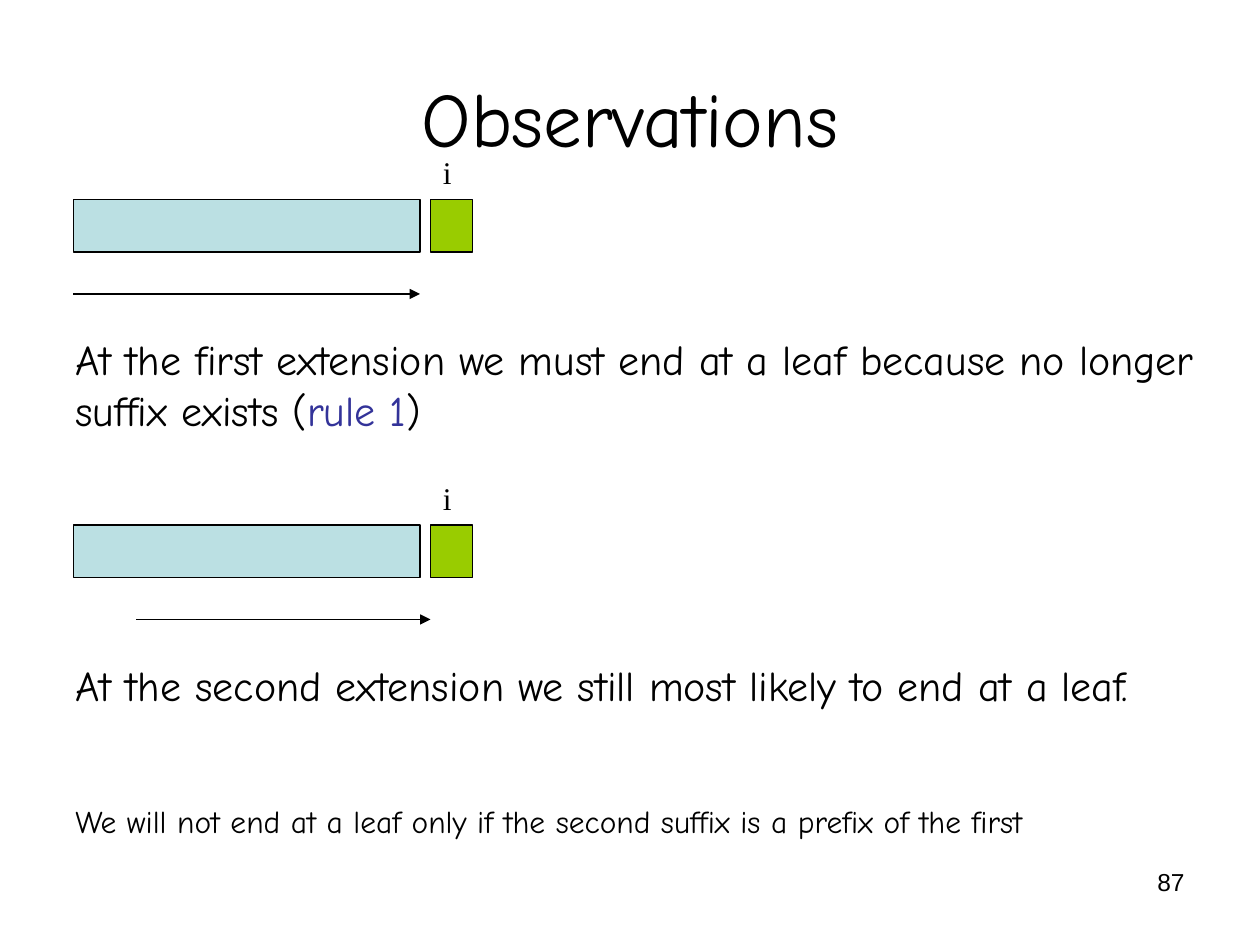
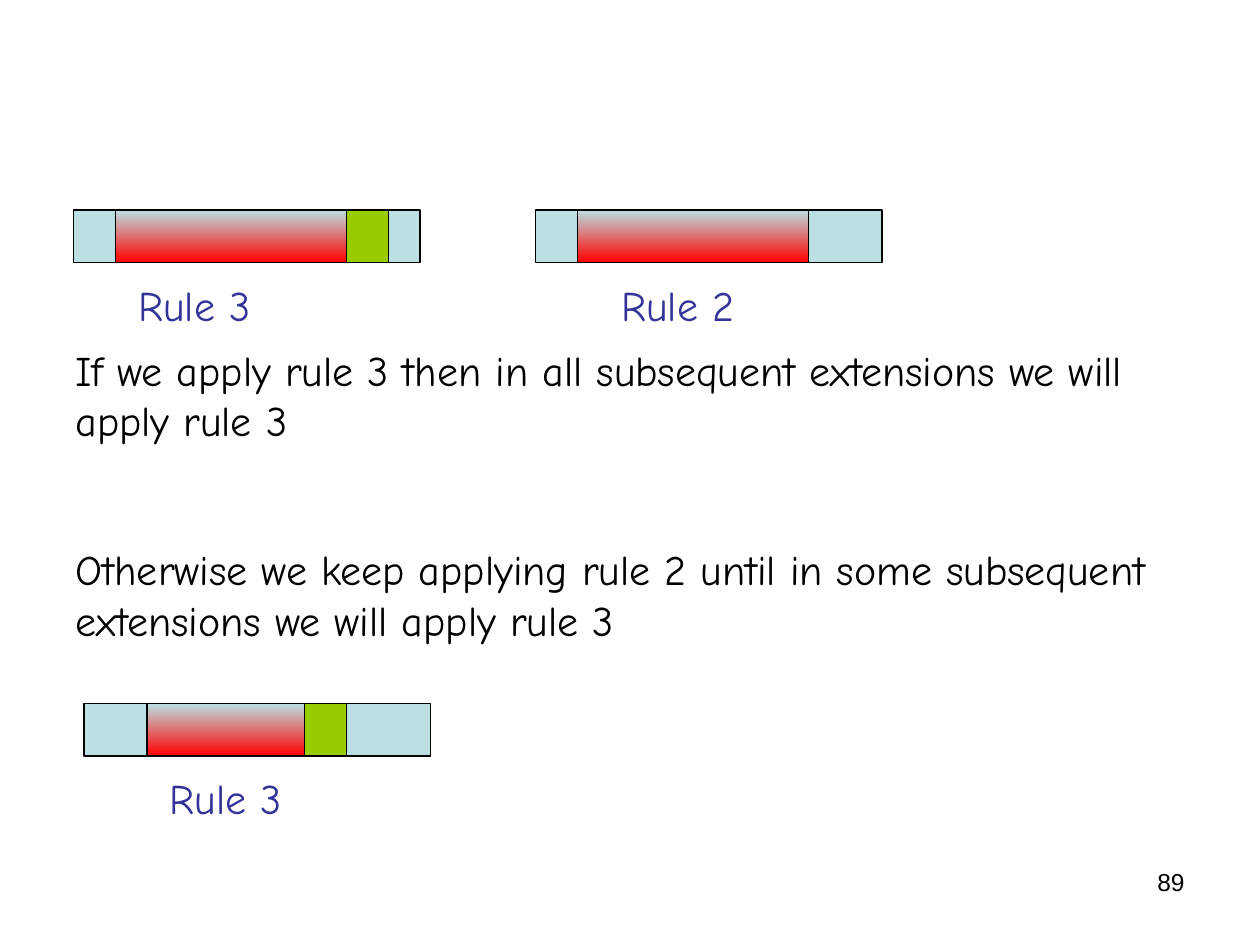
from dataclasses import dataclass
from typing import Optional

from lxml.etree import SubElement
from pptx import Presentation
from pptx.dml.color import RGBColor
from pptx.enum.shapes import MSO_CONNECTOR, MSO_SHAPE
from pptx.enum.text import MSO_ANCHOR, MSO_AUTO_SIZE, PP_ALIGN
from pptx.oxml.ns import qn
from pptx.util import Inches, Pt

# The slide is a grid of 120 columns by 90 rows, twelve to the inch.
UNIT = Inches(1) / 12
COLUMNS, ROWS = 120, 90
TITLE_ONLY, BLANK = 5, 6

BLACK, INDIGO = "000000", "333399"
PALE, GREEN, RED = "BBE0E3", "99CC00", "FF0000"
BODY_FONT = "Comic Neue"

BAR_WIDTH, BAR_HEIGHT, CHARACTER_WIDTH = 33, 5, 4
MARGIN, STRING_LEFT = 6, 7


@dataclass(frozen=True)
class Extension:
    """A string followed by its next character, with an arrow over one suffix."""
    row: int
    suffix_start: int
    suffix_end: int
    remark: tuple
    remark_height: float


@dataclass(frozen=True)
class RuleBar:
    """A string bar with a matched suffix and, maybe, the character after it."""
    left: int
    row: int
    suffix_offset: int
    suffix_width: int
    has_next_character: bool
    caption: str
    caption_left: int


EXTENSIONS = (
    Extension(19, 7, 40, (
        ("At the first extension we must end at a leaf because no longer suffix exists (", BLACK),
        ("rule 1", INDIGO),
        (")", BLACK),
    ), 10.8),
    Extension(50, 13, 41, (
        ("At the second extension we still most likely to end at a leaf.", BLACK),
    ), 6),
)

RULE_BARS = (
    RuleBar(7, 20, 4, 22, True, "Rule 3", 12),
    RuleBar(51, 20, 4, 22, False, "Rule 2", 58),
    RuleBar(8, 67, 6, 15, True, "Rule 3", 15),
)

RULE_REMARKS = (
    (32.2, "If we apply rule 3 then in all subsequent extensions we will apply rule 3"),
    (51.2, "Otherwise we keep applying rule 2 until in some subsequent extensions "
           "we will apply rule 3"),
)


def grid(*units: float) -> list[int]:
    """Turn grid columns or rows into slide lengths."""
    return [round(unit * UNIT) for unit in units]


def color(value: str) -> RGBColor:
    return RGBColor.from_string(value)


def write(frame, text, *, size=24, font=BODY_FONT, fill=BLACK, align=PP_ALIGN.LEFT,
          anchor=MSO_ANCHOR.TOP, fit=MSO_AUTO_SIZE.SHAPE_TO_FIT_TEXT) -> None:
    """Write one paragraph; text is a string or (wording, colour) pairs."""
    frame.word_wrap = True
    frame.auto_size = fit
    frame.vertical_anchor = anchor
    paragraph = frame.paragraphs[0]
    paragraph.alignment = align
    runs = ((text, fill),) if isinstance(text, str) else text
    for wording, run_color in runs:
        run = paragraph.add_run()
        run.text = wording
        run.font.name = font
        run.font.size = Pt(size)
        run.font.color.rgb = color(run_color)


def add_text(slide, text, left: float, top: float, width: float, height: float,
             **formatting) -> None:
    box = slide.shapes.add_textbox(*grid(left, top, width, height))
    write(box.text_frame, text, **formatting)


def add_block(slide, left: float, top: float, width: float, fill: str,
              fade_to: Optional[str] = None) -> None:
    """Draw an outlined part of a string, plain or fading downwards."""
    block = slide.shapes.add_shape(MSO_SHAPE.RECTANGLE, *grid(left, top, width, BAR_HEIGHT))
    block.shadow.inherit = False
    if fade_to:
        block.fill.gradient()
        block.fill.gradient_angle = 270
        for stop, stop_color in zip(block.fill.gradient_stops, (fill, fade_to)):
            stop.color.rgb = color(stop_color)
    else:
        block.fill.solid()
        block.fill.fore_color.rgb = color(fill)
    block.line.color.rgb = color(BLACK)
    block.line.width = Pt(0.75)


def add_arrow(slide, start: float, end: float, row: float) -> None:
    arrow = slide.shapes.add_connector(MSO_CONNECTOR.STRAIGHT, *grid(start, row, end, row))
    arrow.line.color.rgb = color(BLACK)
    arrow.line.width = Pt(0.75)
    SubElement(arrow.line._get_or_add_ln(), qn("a:tailEnd"), type="triangle")
    SubElement(arrow._element.spPr, qn("a:effectLst"))


def add_title(slide, text: str) -> None:
    title = slide.shapes.title
    title.left, title.top, title.width, title.height = grid(
        MARGIN, 3.6, COLUMNS - 2 * MARGIN, 15)
    write(title.text_frame, text, size=44, align=PP_ALIGN.CENTER,
          anchor=MSO_ANCHOR.MIDDLE, fit=MSO_AUTO_SIZE.NONE)


def add_page_number(slide, number: int) -> None:
    width = 28
    add_text(slide, str(number), COLUMNS - MARGIN - width, ROWS - 8, width, 6.2, size=14,
             font="Arial", align=PP_ALIGN.RIGHT, fit=MSO_AUTO_SIZE.NONE)


def add_extension(slide, extension: Extension) -> None:
    row = extension.row
    next_left = STRING_LEFT + BAR_WIDTH + 1
    add_block(slide, STRING_LEFT, row, BAR_WIDTH, PALE)
    add_block(slide, next_left, row, CHARACTER_WIDTH, GREEN)
    add_arrow(slide, extension.suffix_start, extension.suffix_end, row + 9)
    add_text(slide, extension.remark, MARGIN, row + 12.2, 111, extension.remark_height)
    add_text(slide, "i", next_left, row - 5, 5, 4.8, size=18, font="Times New Roman")


def add_rule_bar(slide, bar: RuleBar) -> None:
    suffix_left = bar.left + bar.suffix_offset
    add_block(slide, bar.left, bar.row, BAR_WIDTH, PALE)
    add_block(slide, suffix_left, bar.row, bar.suffix_width, PALE, fade_to=RED)
    if bar.has_next_character:
        add_block(slide, suffix_left + bar.suffix_width, bar.row, CHARACTER_WIDTH, GREEN)
    add_text(slide, bar.caption, bar.caption_left, bar.row + 6, 18, 6, fill=INDIGO)


def build_observations(presentation) -> None:
    slide = presentation.slides.add_slide(presentation.slide_layouts[TITLE_ONLY])
    add_title(slide, "Observations")
    for extension in EXTENSIONS:
        add_extension(slide, extension)
    add_text(slide, "We will not end at a leaf only if the second suffix is a prefix of the first",
             MARGIN, 75.8, 112, 4.8, size=18)
    add_page_number(slide, 87)


def build_rules(presentation) -> None:
    slide = presentation.slides.add_slide(presentation.slide_layouts[BLANK])
    for bar in RULE_BARS:
        add_rule_bar(slide, bar)
    for top, remark in RULE_REMARKS:
        add_text(slide, remark, MARGIN, top, 111, 10.8)
    add_page_number(slide, 89)


def main() -> None:
    presentation = Presentation()
    presentation.slide_width, presentation.slide_height = grid(COLUMNS, ROWS)
    build_observations(presentation)
    build_rules(presentation)
    presentation.save("out.pptx")


if __name__ == "__main__":
    main()
